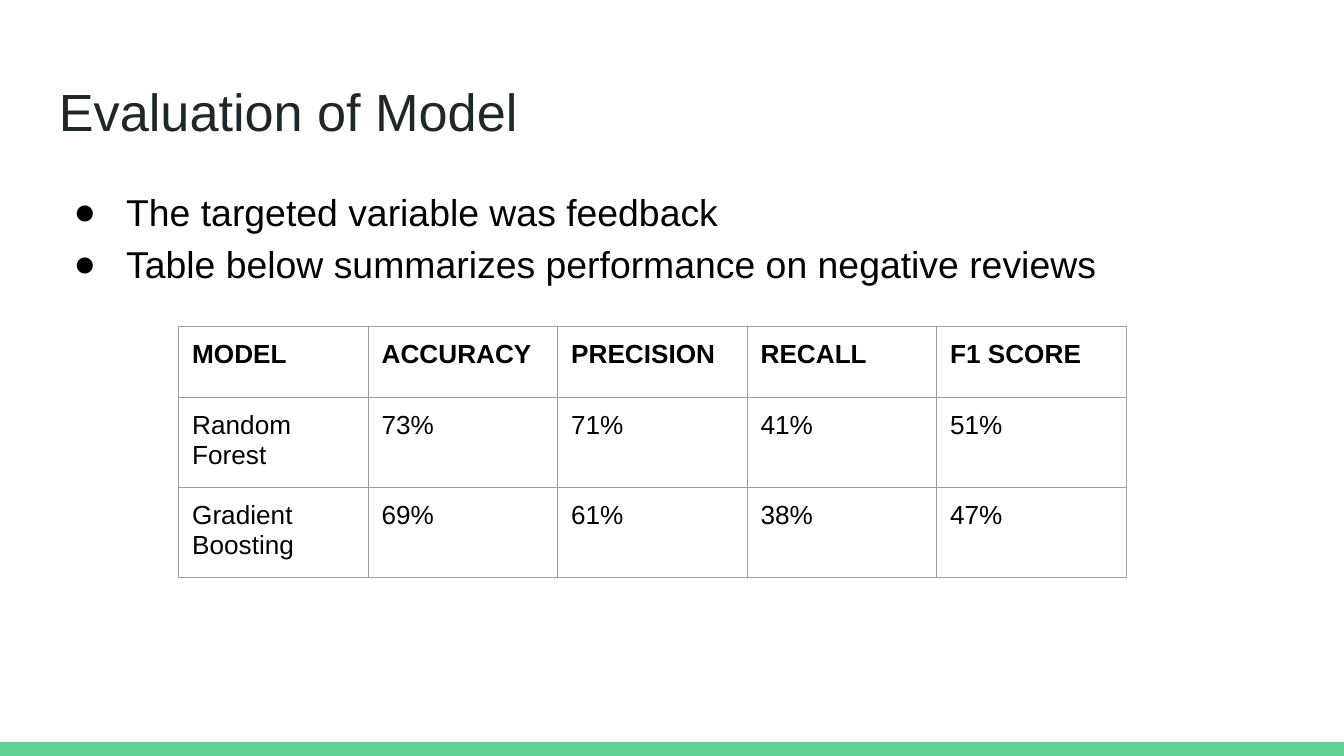
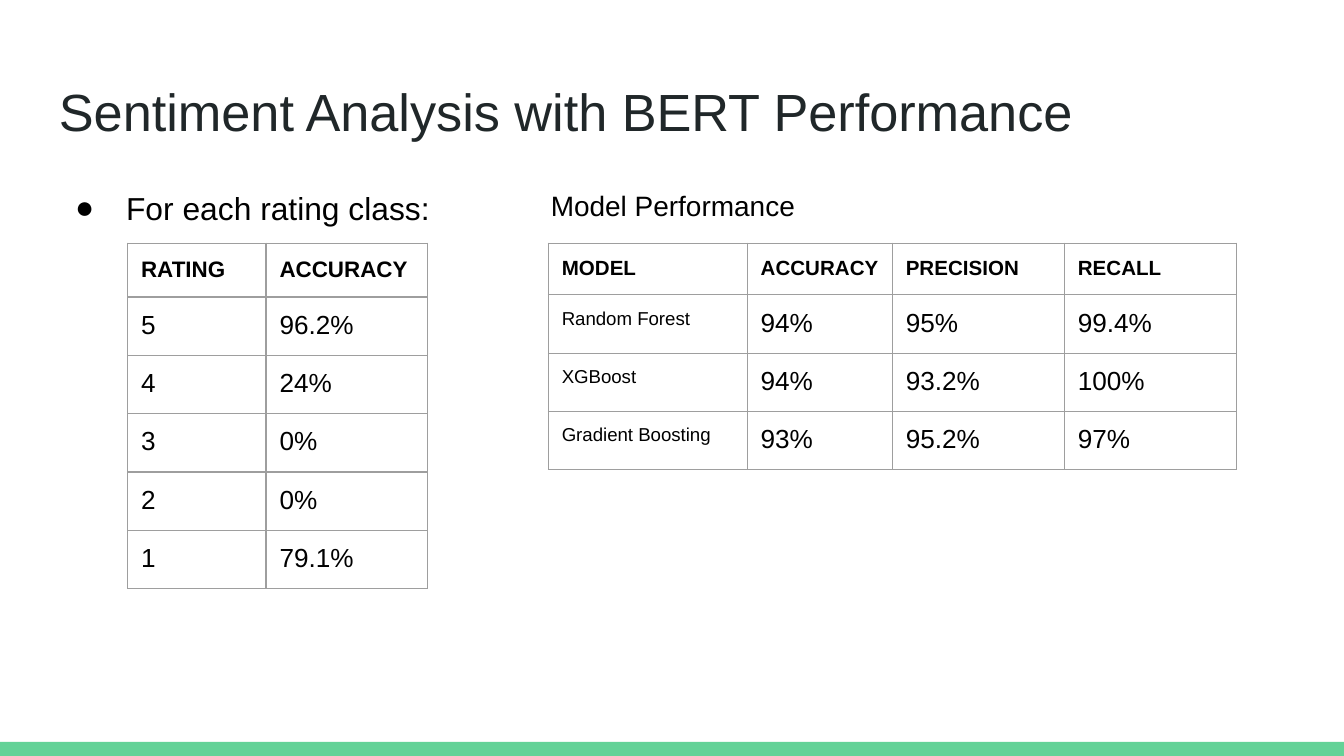
import pptx
import pptx.dml.color
import pptx.enum.shapes
import pptx.enum.text
import pptx.oxml
import pptx.oxml.ns
import pptx.util

Inches = pptx.util.Inches
Pt = pptx.util.Pt

COLORS = {"band": "63D297", "title": "202729", "text": "000000", "grid": "9E9E9E"}
FONT = "Arial"
INSET = Inches(0.1)
MARGINS = ("margin_left", "margin_top", "margin_right", "margin_bottom")
TABLE_FRAME = Inches(3.28)
VALUE_SIZE = 14

SLIDES = [
    {
        "title": "Evaluation of Model",
        "bullets": [
            "The targeted variable was feedback",
            "Table below summarizes performance on negative reviews",
        ],
        "bullet_format": {"width": 9.32, "size": 20, "hang": 0.39},
        "tables": [
            {
                "left": 1.33, "top": 2.43,
                "columns": [1.41] * 5,
                "heights": [0.53, 0.35, 0.53],
                "header_size": 14, "label_size": 14,
                "rows": [
                    ("MODEL", "ACCURACY", "PRECISION", "RECALL", "F1 SCORE"),
                    ("Random Forest", "73%", "71%", "41%", "51%"),
                    ("Gradient Boosting", "69%", "61%", "38%", "47%"),
                ],
            },
        ],
    },
    {
        "title": "Sentiment Analysis with BERT Performance",
        "bullets": ["For each rating class:"],
        "bullet_format": {"width": 3.66, "size": 17, "hang": 0.38},
        "caption": "Model Performance",
        "tables": [
            {
                "left": 0.95, "top": 1.81,
                "columns": [1.03, 1.2],
                "heights": [0.37] + [0.4] * 5,
                "header_size": 12, "label_size": 14,
                "rows": [
                    ("RATING", "ACCURACY"),
                    ("5", "96.2%"),
                    ("4", "24%"),
                    ("3", "0%"),
                    ("2", "0%"),
                    ("1", "79.1%"),
                ],
            },
            {
                "left": 4.08, "top": 1.81,
                "columns": [1.48, 1.08, 1.28, 1.28],
                "heights": [0.34, 0.3, 0.25, 0.42],
                "header_size": 11, "label_size": 10,
                "rows": [
                    ("MODEL", "ACCURACY", "PRECISION", "RECALL"),
                    ("Random Forest", "94%", "95%", "99.4%"),
                    ("XGBoost", "94%", "93.2%", "100%"),
                    ("Gradient Boosting", "93%", "95.2%", "97%"),
                ],
            },
        ],
    },
]


def rgb(name):
    return pptx.dml.color.RGBColor.from_string(COLORS[name])


def drawing(tag, body="", **attributes):
    """Build one element of the drawing namespace."""
    listed = "".join(f' {name}="{value}"' for name, value in attributes.items())
    return pptx.oxml.parse_xml(
        f'<a:{tag} {pptx.oxml.ns.nsdecls("a")}{listed}>{body}</a:{tag}>')


def set_margins(target):
    for margin in MARGINS:
        setattr(target, margin, INSET)


def add_span(para, text, size, color="text", bold=False):
    span = para.add_run()
    span.text = text
    for name, value in {"name": FONT, "size": Pt(size), "bold": bold}.items():
        setattr(span.font, name, value)
    span.font.color.rgb = rgb(color)


def add_text(page, place, lines, size, color="text"):
    """Add a text box with one paragraph per line and return its paragraphs."""
    frame = page.shapes.add_textbox(*map(Inches, place)).text_frame
    frame.word_wrap = True
    frame.vertical_anchor = pptx.enum.text.MSO_ANCHOR.TOP
    set_margins(frame)
    for _ in lines[1:]:
        frame.add_paragraph()
    for para, line in zip(frame.paragraphs, lines):
        add_span(para, line, size, color)
    return frame.paragraphs


def add_bullets(page, lines, width, size, hang):
    for para in add_text(page, (0.34, 1.26, width, 3.74), lines, size):
        para.line_spacing = 1.15
        props = para._p.get_or_add_pPr()
        props.set("marL", str(Inches(0.5)))
        props.set("indent", str(-Inches(hang)))
        props.append(drawing("buClr", f'<a:srgbClr val="{COLORS["text"]}"/>'))
        props.append(drawing("buSzPts", val=size * 100))
        props.append(drawing("buFont", typeface=FONT))
        props.append(drawing("buChar", char="●"))


def set_borders(cell):
    props = cell._tc.get_or_add_tcPr()
    fill = f'<a:solidFill><a:srgbClr val="{COLORS["grid"]}"/></a:solidFill>'
    for position, side in enumerate(("lnL", "lnR", "lnT", "lnB")):
        props.insert(position, drawing(side, fill, w=Pt(0.75)))


def add_table(page, data):
    rows, columns = data["rows"], data["columns"]
    holder = page.shapes.add_table(
        len(rows), len(columns), Inches(data["left"]), Inches(data["top"]),
        TABLE_FRAME, TABLE_FRAME)
    table = holder.table
    table.first_row = table.horz_banding = False
    for column, width in zip(table.columns, columns):
        column.width = Inches(width)
    for row, height in zip(table.rows, data["heights"]):
        row.height = Inches(height)
    holder.width = holder.height = TABLE_FRAME
    for r, values in enumerate(rows):
        for c, value in enumerate(values):
            cell = table.cell(r, c)
            set_margins(cell)
            cell.fill.background()
            set_borders(cell)
            size = VALUE_SIZE
            if r == 0:
                size = data["header_size"]
            elif c == 0:
                size = data["label_size"]
            add_span(cell.text_frame.paragraphs[0], value, size, bold=r == 0)


def add_page(deck, content):
    page = deck.slides.add_slide(deck.slide_layouts[6])
    band = page.shapes.add_shape(
        pptx.enum.shapes.MSO_SHAPE.RECTANGLE, *map(Inches, (0, 5.52, 10, 0.11)))
    band.shadow.inherit = False
    band.fill.solid()
    band.fill.fore_color.rgb = rgb("band")
    band.line.fill.background()
    add_text(page, (0.34, 0.49, 9.32, 0.63), [content["title"]], 28, "title")
    add_bullets(page, content["bullets"], **content["bullet_format"])
    if "caption" in content:
        add_text(page, (4, 1.3, 2.23, 0.55), [content["caption"]], 15)
    for data in content["tables"]:
        add_table(page, data)


def main():
    deck = pptx.Presentation()
    deck.slide_width = Inches(10)
    deck.slide_height = deck.slide_width * 9 // 16
    for content in SLIDES:
        add_page(deck, content)
    deck.save("out.pptx")


if __name__ == "__main__":
    main()
